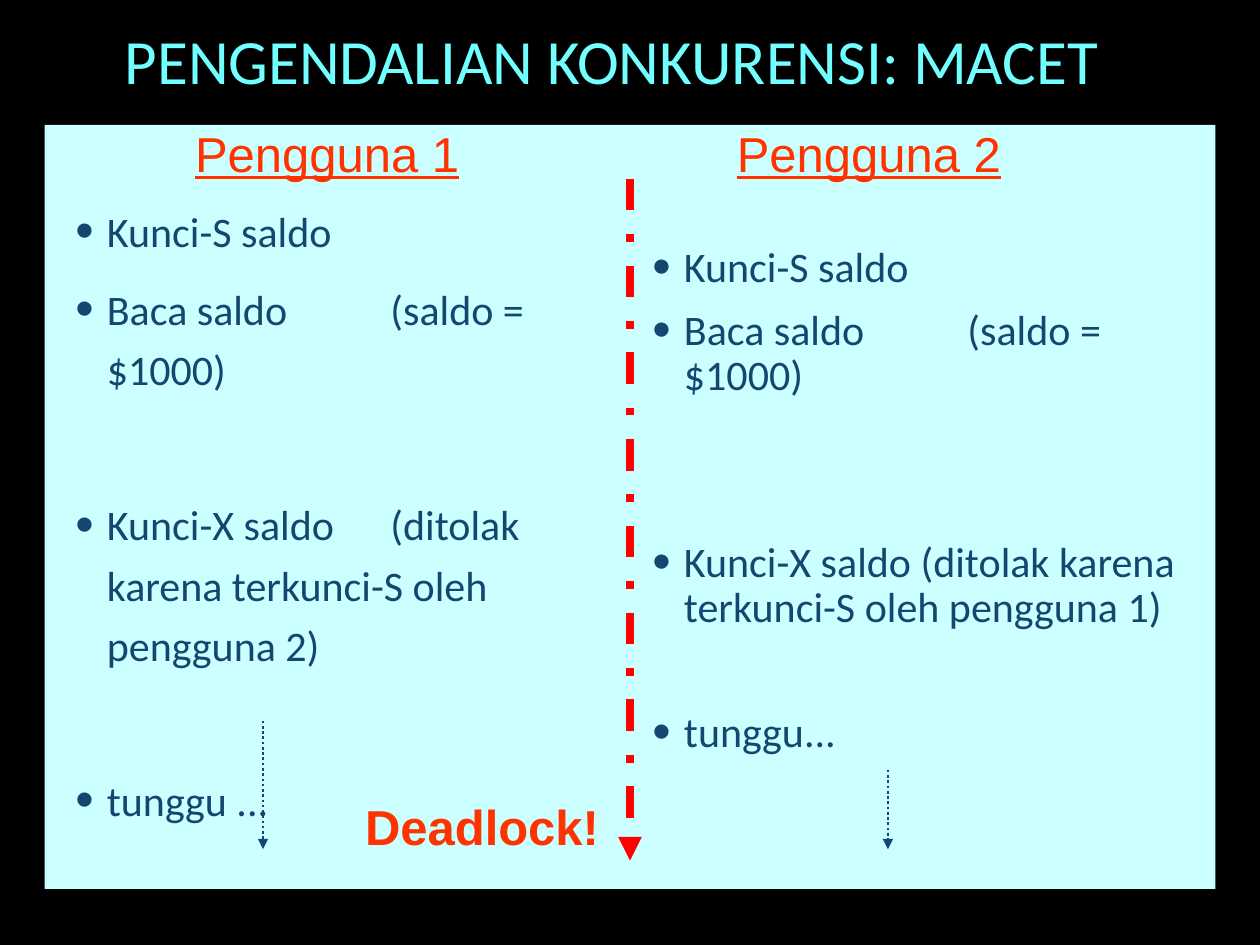
"""Build the slide on deadlock in concurrency control."""
from lxml.etree import SubElement
from pptx import Presentation
from pptx.dml.color import RGBColor
from pptx.enum.dml import MSO_LINE_DASH_STYLE as Dash
from pptx.enum.shapes import MSO_CONNECTOR as Connector, MSO_SHAPE as Shape
from pptx.enum.text import MSO_ANCHOR as Anchor, MSO_AUTO_SIZE as AutoSize
from pptx.oxml.ns import qn
from pptx.util import Pt

BLACK = RGBColor(0x00, 0x00, 0x00)
PALE_CYAN = RGBColor(0xCC, 0xFF, 0xFF)
CYAN = RGBColor(0x71, 0xFF, 0xFF)
NAVY = RGBColor(0x13, 0x47, 0x70)
ORANGE = RGBColor(0xFF, 0x33, 0x00)
RED = RGBColor(0xFF, 0x00, 0x00)

TITLE = "PENGENDALIAN KONKURENSI: MACET"
BODY_WIDTH, BODY_HEIGHT, INDENT = 318.24, 390.24, 18
COLUMNS = [
    {"left": 36, "top": 108, "inset": 3.6, "line_spacing": 1.2, "steps": [
        ("Kunci-S saldo", 0),
        ("Baca saldo \t\t(saldo = $1000)", 10),
        ("Kunci-X saldo \t(ditolak karena terkunci-S oleh pengguna 2)", 54),
        ("tunggu ...", 54),
    ]},
    {"left": 365.76, "top": 102.24, "inset": 38.3, "line_spacing": 0.9, "steps": [
        ("Kunci-S saldo", 0),
        ("Baca saldo \t\t(saldo = $1000)", 10),
        ("Kunci-X saldo (ditolak karena terkunci-S oleh pengguna 1)", 81),
        ("tunggu...", 45),
    ]},
]
LABELS = [
    ("Pengguna 1", 104.4, 66.96, 165.6, {"underline": True}),
    ("Pengguna 2", 414, 66.96, 165.6, {"underline": True}),
    ("Deadlock!", 201.6, 451.44, 148.32, {"bold": True}),
]
ARROWS = [
    (360, 102.24, 491.76, RED, 4.5, Dash.DASH_DOT),
    (150.3, 411.84, 485.28, NAVY, 1.5, Dash.ROUND_DOT),
    (507.4, 439.92, 485.28, NAVY, 1.5, Dash.ROUND_DOT),
]


def style(paragraph, name, size, color, **flags):
    font = paragraph.font
    font.name, font.size = name, Pt(size)
    font.color.rgb = color
    for flag, value in flags.items():
        setattr(font, flag, value)


def add_text_frame(slide, left, top, width, height, wrap=True):
    box = slide.shapes.add_textbox(Pt(left), Pt(top), Pt(width), Pt(height))
    box.text_frame.word_wrap = wrap
    return box.text_frame


def add_bullet(paragraph):
    properties = paragraph._p.get_or_add_pPr()
    properties.set("marL", str(Pt(INDENT)))
    properties.set("indent", str(Pt(-INDENT)))
    color = SubElement(properties, qn("a:buClr"))
    SubElement(color, qn("a:srgbClr"), val=str(NAVY))
    SubElement(properties, qn("a:buSzPct"), val="125000")
    SubElement(properties, qn("a:buFont"), typeface="Arial")
    SubElement(properties, qn("a:buChar"), char="•")


def add_title(slide):
    frame = add_text_frame(slide, 59.76, 0, 612, 73.44)
    frame.vertical_anchor = Anchor.MIDDLE
    paragraph = frame.paragraphs[0]
    paragraph.text = TITLE
    paragraph.line_spacing = 0.9
    paragraph._p.get_or_add_pPr().set("marL", str(Pt(4.5)))
    style(paragraph, "Calibri", 36, CYAN)


def add_column(slide, column):
    frame = add_text_frame(slide, column["left"], column["top"], BODY_WIDTH, BODY_HEIGHT)
    frame.margin_top = Pt(column["inset"])
    for index, (text, space_before) in enumerate(column["steps"]):
        paragraph = frame.add_paragraph() if index else frame.paragraphs[0]
        paragraph.text = text
        add_bullet(paragraph)
        paragraph.line_spacing = column["line_spacing"]
        paragraph.space_before = Pt(space_before)
        style(paragraph, "Calibri", 24, NAVY)


def add_label(slide, text, left, top, width, flags):
    frame = add_text_frame(slide, left, top, width, 41.04, wrap=False)
    frame.auto_size = AutoSize.SHAPE_TO_FIT_TEXT
    frame.text = text
    style(frame.paragraphs[0], "Arial", 28, ORANGE, **flags)


def add_arrow(slide, x, top, bottom, color, width, dash):
    arrow = slide.shapes.add_connector(Connector.STRAIGHT, Pt(x), Pt(top), Pt(x), Pt(bottom))
    arrow.line.color.rgb = color
    arrow.line.width = Pt(width)
    arrow.line.dash_style = dash
    SubElement(arrow.line._get_or_add_ln(), qn("a:tailEnd"), type="triangle")
    SubElement(arrow._element.spPr, qn("a:effectLst"))


def main():
    presentation = Presentation()
    presentation.slide_width, presentation.slide_height = Pt(720), Pt(540)
    slide = presentation.slides.add_slide(presentation.slide_layouts[6])
    slide.background.fill.solid()
    slide.background.fill.fore_color.rgb = BLACK

    panel = slide.shapes.add_shape(Shape.RECTANGLE, Pt(25.5), Pt(71.4), Pt(669), Pt(436.5))
    panel.shadow.inherit = False
    panel.fill.solid()
    panel.fill.fore_color.rgb = PALE_CYAN
    panel.line.fill.background()

    add_title(slide)
    for column in COLUMNS:
        add_column(slide, column)
    for label in LABELS:
        add_label(slide, *label)
    for arrow in ARROWS:
        add_arrow(slide, *arrow)
    presentation.save("out.pptx")


if __name__ == "__main__":
    main()
